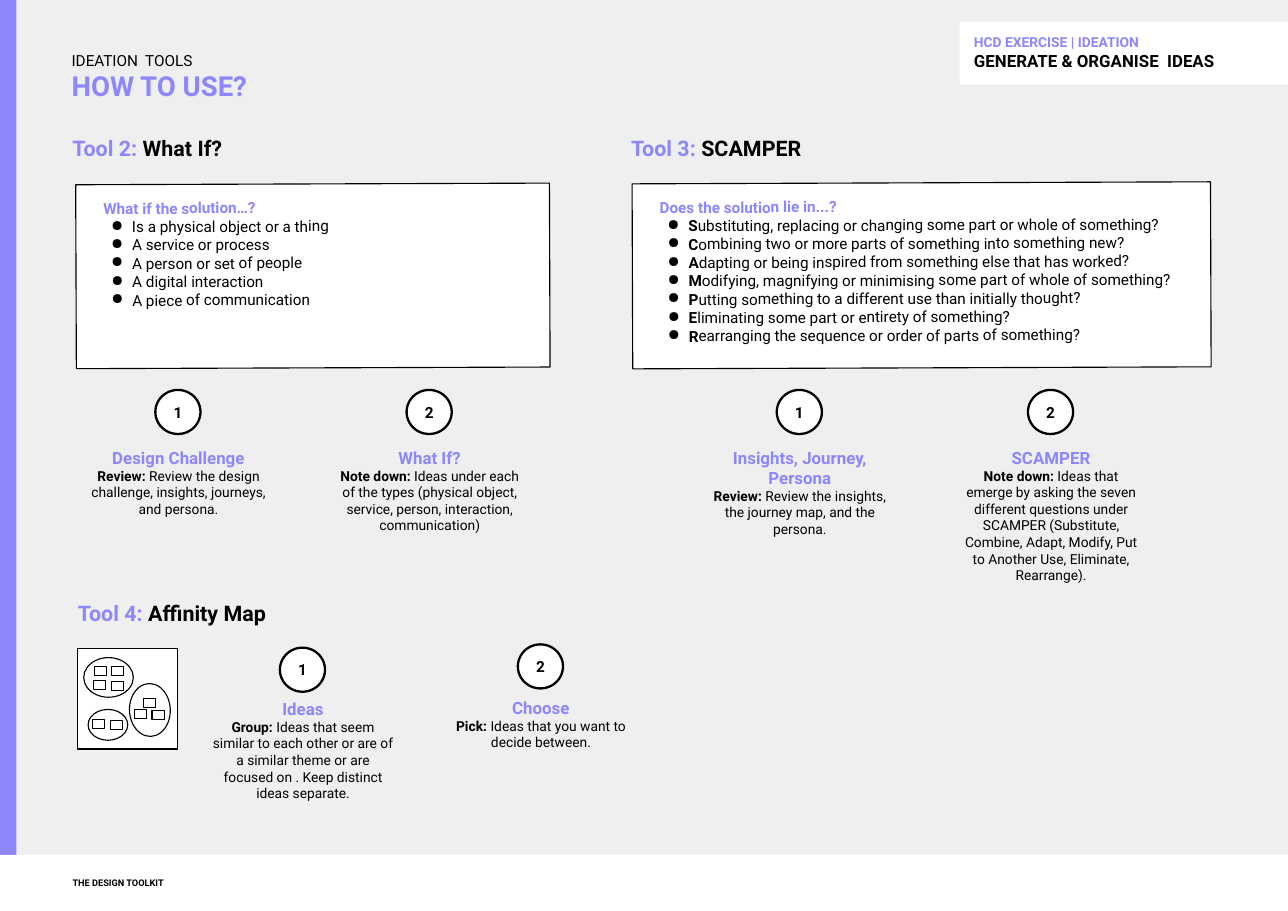
from lxml import etree
from pptx import Presentation
from pptx.dml.color import RGBColor
from pptx.enum.shapes import MSO_SHAPE
from pptx.enum.text import MSO_ANCHOR, MSO_AUTO_SIZE, PP_ALIGN
from pptx.oxml.ns import qn
from pptx.util import Inches, Pt

RECT, OVAL = MSO_SHAPE.RECTANGLE, MSO_SHAPE.OVAL
TOP, MIDDLE, BOTTOM = MSO_ANCHOR.TOP, MSO_ANCHOR.MIDDLE, MSO_ANCHOR.BOTTOM
LEFT, CENTER = PP_ALIGN.LEFT, PP_ALIGN.CENTER
COLORS = {"violet": "8D86FC", "black": "000000", "white": "FFFFFF", "grey": "EFEFEF"}
FONT = "Roboto"

# Content: a line is (size, [(text, colour, bold), ...])
TITLE = [(10, [("IDEATION  TOOLS", "black", False)]),
         (18, [("HOW TO USE?", "violet", True)])]
EXERCISE = [(9, [("HCD EXERCISE | IDEATION", "violet", True)]),
            (11, [("GENERATE & ORGANISE  IDEAS", "black", True)])]
FOOTER = [(6, [("THE DESIGN TOOLKIT", "black", True)])]

# Each step: circle top, text top, heading, action, explanation
TOOLS = [
    {"label": "Tool 2:", "name": "What If?", "at": (0.56, 1.13),
     "first_step": 0.69, "pitch": 2.28, "steps": [
         (3.54, 3.96, "Design Challenge", "Review:",
          "Review the design challenge, insights, journeys, and persona."),
         (3.54, 3.96, "What If?", "Note down:",
          "Ideas under each of the types (physical object, service, person, "
          "interaction, communication)")]},
    {"label": "Tool 3:", "name": "SCAMPER", "at": (5.63, 1.13),
     "first_step": 6.33, "pitch": 2.28, "steps": [
         (3.54, 3.96, "Insights, Journey, Persona", "Review:",
          "Review the insights, the journey map, and the persona."),
         (3.54, 3.96, "SCAMPER", "Note down:",
          "Ideas that emerge by asking the seven different questions under SCAMPER "
          "(Substitute, Combine, Adapt, Modify, Put to Another Use, Eliminate, "
          "Rearrange).")]},
    {"label": "Tool 4:", "name": "Affinity Map", "at": (0.61, 5.35),
     "first_step": 1.82, "pitch": 2.16, "steps": [
         (5.88, 6.24, "Ideas", "Group:",
          "Ideas that seem similar to each other or are of a similar theme or are "
          "focused on . Keep distinct ideas separate."),
         (5.85, 6.23, "Choose", "Pick:", "Ideas that you want to decide between.")]},
]

# Each panel: box, heading, number of bold initial letters, bullets
PANELS = [
    ((0.69, 1.67, 4.3, 1.67), "What if the solution…?", 0,
     ["Is a physical object or a thing", "A service or process",
      "A person or set of people", "A digital interaction", "A piece of communication"]),
    ((5.74, 1.66, 5.25, 1.68), "Does the solution lie in...?", 1,
     ["Substituting, replacing or changing some part or whole of something?",
      "Combining two or more parts of something into something new?",
      "Adapting or being inspired from something else that has worked?",
      "Modifying, magnifying or minimising some part of whole of something?",
      "Putting something to a different use than initially thought?",
      "Eliminating some part or entirety of something?",
      "Rearranging the sequence or order of parts of something?"]),
]

# Affinity map icon: clusters as (box, rotation), notes as (left, top)
MAP_FRAME = (0.7, 5.89, 0.91, 0.91)
CLUSTERS = [((0.8, 6.44, 0.36, 0.28), 0), ((1.12, 6.26, 0.48, 0.37), 87.9),
            ((0.76, 5.97, 0.45, 0.36), 0)]
NOTES = [(0.86, 6.05), (1.01, 6.05), (0.85, 6.18), (1.01, 6.19), (1.22, 6.44),
         (1.38, 6.45), (1.3, 6.34), (0.84, 6.53), (1, 6.54)]
NOTE_SIZE = (0.11, 0.08)
CIRCLE_SIZE = (0.41, 0.4)
STEP_WIDTH, STEP_HEIGHT, CIRCLE_OFFSET = 1.86, 0.91, 0.72


def color(name):
    return RGBColor.from_string(COLORS[name])


def style(font, name, bold):
    font.color.rgb = color(name)
    font.bold = bold


def write(shape, lines, inset=0.1, anchor=TOP, align=LEFT):
    frame = shape.text_frame
    frame.word_wrap = True
    frame.auto_size = MSO_AUTO_SIZE.NONE
    frame.vertical_anchor = anchor
    frame.margin_left = frame.margin_right = Inches(inset)
    frame.margin_top = frame.margin_bottom = Inches(inset)
    for index, (size, runs) in enumerate(lines):
        paragraph = frame.paragraphs[0] if index == 0 else frame.add_paragraph()
        paragraph.alignment = align
        paragraph.font.name = FONT
        paragraph.font.size = Pt(size)
        for text, name, bold in runs:
            run = paragraph.add_run()
            run.text = text
            style(paragraph.font if len(runs) == 1 else run.font, name, bold)


def draw(shapes, kind, box, fill="white", line=None, rotation=0):
    shape = shapes.add_shape(kind, *map(Inches, box))
    shape.shadow.inherit = False
    shape.rotation = rotation
    shape.fill.solid()
    shape.fill.fore_color.rgb = color(fill)
    if line:
        shape.line.color.rgb = color("black")
        shape.line.width = Pt(line)
    else:
        shape.line.fill.background()
    return shape


def indent(paragraph, left, bullet=False):
    properties = paragraph._p.get_or_add_pPr()
    properties.set("marL", str(Inches(left)))
    properties.set("indent", str(Inches(-0.19 if bullet else 0)))
    if bullet:
        bullet_color = etree.Element(qn("a:buClr"))
        etree.SubElement(bullet_color, qn("a:srgbClr"), val=COLORS["black"])
        properties.insert(0, bullet_color)
        properties.insert(1, etree.Element(qn("a:buChar"), char="●"))


def main():
    deck = Presentation()
    deck.slide_width, deck.slide_height = Inches(11.69), Inches(8.27)
    slide = deck.slides.add_slide(deck.slide_layouts[5])
    shapes = slide.shapes
    slide.background.fill.solid()
    slide.background.fill.fore_color.rgb = color("grey")

    # Title and exercise label
    title = shapes.title
    title.left, title.top, title.width, title.height = map(Inches, (0.52, 0.29, 5.52, 0.77))
    write(title, TITLE, 0.13, BOTTOM)
    write(draw(shapes, RECT, (8.71, 0.2, 2.98, 0.57)), EXERCISE, 0.13, BOTTOM)

    # Question panels
    for box, heading, initials, bullets in PANELS:
        lines = [(10, [(heading, "violet", True)])]
        for text in bullets:
            parts = [(text[:initials], "black", True), (text[initials:], "black", False)]
            lines.append((10, [part for part in parts if part[0]]))
        panel = draw(shapes, RECT, box, line=0.75, rotation=359.8)
        write(panel, lines, 0.13)
        first, *rest = panel.text_frame.paragraphs
        indent(first, 0.12)
        for paragraph in rest:
            indent(paragraph, 0.38, bullet=True)

    # Tool headings and numbered steps
    for tool in TOOLS:
        heading_box = shapes.add_textbox(*map(Inches, (*tool["at"], 3.14, 0.41)))
        write(heading_box, [(14, [(tool["label"], "violet", True),
                                  (" " + tool["name"], "black", True)])])
        for index, (circle_top, text_top, heading, action, detail) in enumerate(tool["steps"]):
            left = tool["first_step"] + index * tool["pitch"]
            circle = draw(shapes, OVAL, (left + CIRCLE_OFFSET, circle_top, *CIRCLE_SIZE),
                          line=1.5)
            write(circle, [(10, [(str(index + 1), "black", True)])], 0, MIDDLE, CENTER)
            step = shapes.add_textbox(*map(Inches, (left, text_top, STEP_WIDTH, STEP_HEIGHT)))
            write(step, [(11, [(heading, "violet", True)]),
                         (9, [(action + " ", "black", True), (detail, "black", False)])],
                  align=CENTER)

    # Affinity map icon
    icon = shapes.add_group_shape().shapes
    draw(icon, RECT, MAP_FRAME, line=0.75)
    for box, rotation in CLUSTERS:
        draw(icon, OVAL, box, line=0.75, rotation=rotation)
    for corner in NOTES:
        draw(icon, RECT, (*corner, *NOTE_SIZE), line=0.75)

    # Side band and footer
    draw(shapes, RECT, (0, 0, 0.15, 8.27), "violet")
    draw(shapes, RECT, (0, 7.76, 11.69, 0.51))
    write(shapes.add_textbox(*map(Inches, (0.56, 7.87, 4.61, 0.29))), FOOTER, anchor=BOTTOM)

    deck.save("out.pptx")


if __name__ == "__main__":
    main()
